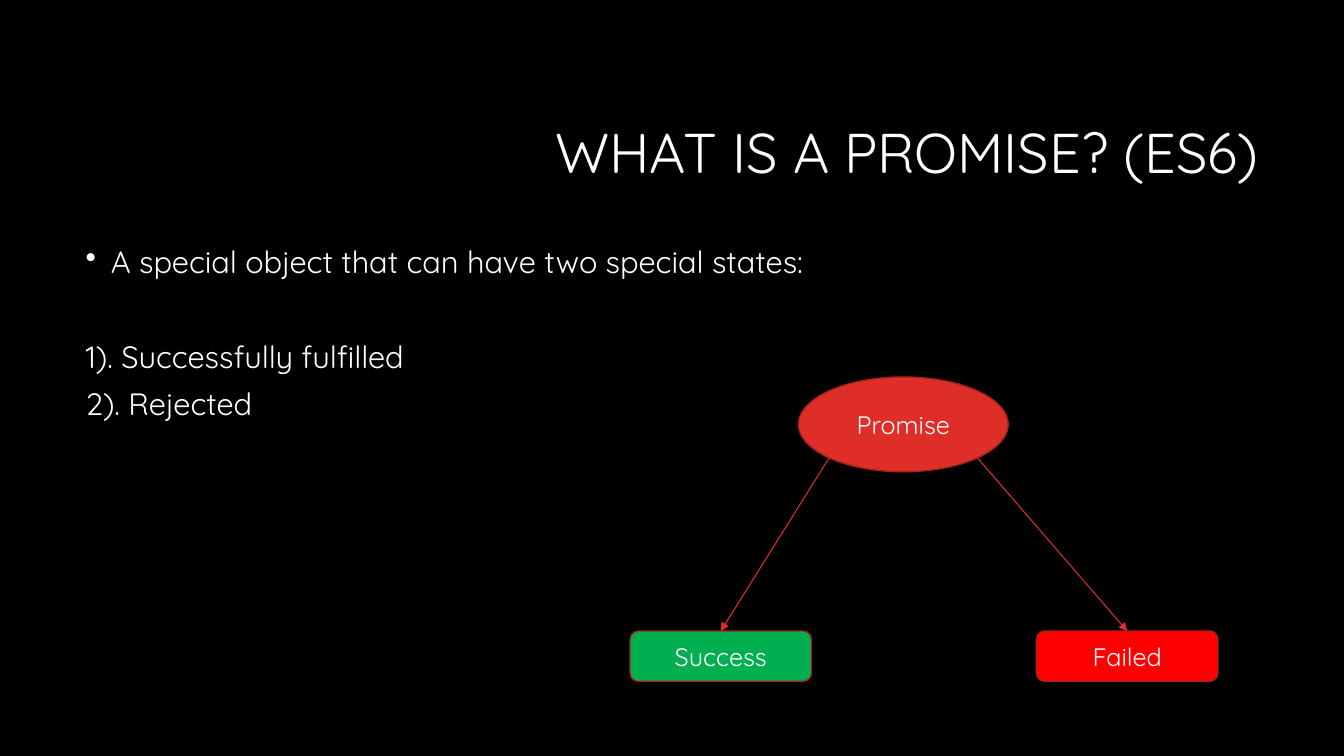
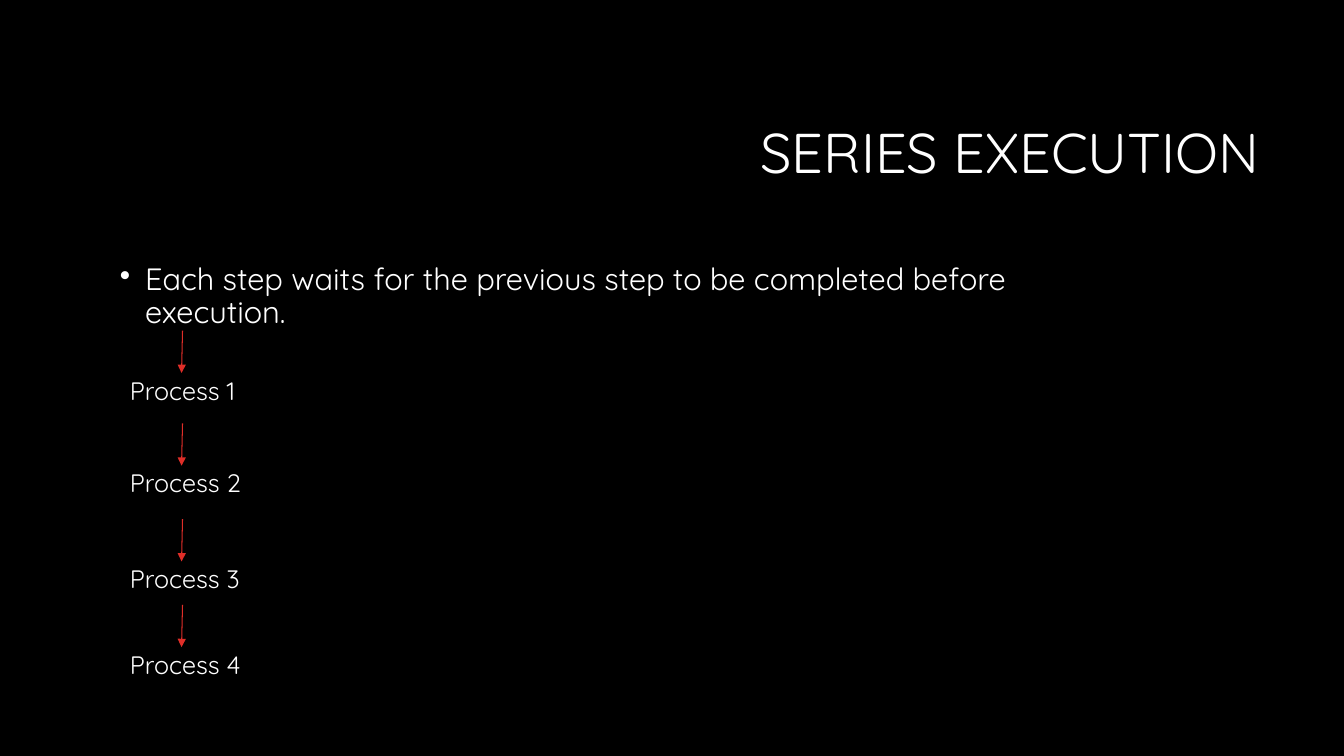
from math import sqrt

from lxml import etree
from pptx import Presentation, util as u
from pptx.dml.color import RGBColor
from pptx.enum import shapes, text
from pptx.oxml.ns import qn

INK = {"back": "000000", "text": "FFFFFF", "red": "DF2E28", "edge": "A5221E",
       "pass": "00B050", "fail": "FF0000"}
FONT = "Quicksand"
PAGE = (0, 0, u.Inches(13.33), u.Inches(7.5))
TITLE = (23.77, 11.2, 70.65, 18.8)


def color(name):
    """Return the named colour."""
    return RGBColor.from_string(INK[name])


def part(box, left, top, wide, high):
    """Return the part of a box given in percent of its size."""
    x, y, w, h = box
    return (round(x + w * left / 100), round(y + h * top / 100),
            round(w * wide / 100), round(h * high / 100))


def style(para, size, align=None):
    """Set the shared font and the alignment of a paragraph."""
    para.alignment = align
    para.font.name = FONT
    para.font.size = u.Pt(size)
    para.font.color.rgb = color("text")


def bullet(para):
    """Give a paragraph a hanging bullet."""
    props = para._p.get_or_add_pPr()
    props.set("marL", str(u.Inches(0.25)))
    props.set("indent", str(-u.Inches(0.25)))
    etree.SubElement(props, qn("a:buChar")).set("char", "•")


def page(deck, title):
    """Add a slide with its title."""
    slide = deck.slides.add_slide(deck.slide_layouts[5])
    head = slide.shapes.title
    head.left, head.top, head.width, head.height = part(PAGE, *TITLE)
    frame = head.text_frame
    frame.text = title
    frame.auto_size = text.MSO_AUTO_SIZE.NONE
    frame.vertical_anchor = text.MSO_ANCHOR.MIDDLE
    para = frame.paragraphs[0]
    para.line_spacing = 0.9
    style(para, 40, text.PP_ALIGN.RIGHT)
    return slide


def body(slide, box, lead, items=()):
    """Add a bulleted lead line and plain items set apart below it."""
    frame = slide.shapes.add_textbox(*box).text_frame
    frame.word_wrap = True
    for i, line in enumerate((lead, *items)):
        para = frame.paragraphs[0] if i == 0 else frame.add_paragraph()
        para.text = line
        para.line_spacing = 0.9
        para.space_before = u.Pt(44 if i == 1 else 10)
        if i == 0:
            bullet(para)
        style(para, 22)


def node(slide, box, kind, fill, label):
    """Add a filled shape with a centred label."""
    shape = slide.shapes.add_shape(kind, *box)
    shape.shadow.inherit = False
    shape.fill.solid()
    shape.fill.fore_color.rgb = color(fill)
    shape.line.color.rgb = color("edge")
    shape.line.width = u.Pt(1)
    frame = shape.text_frame
    frame.text = label
    frame.vertical_anchor = text.MSO_ANCHOR.MIDDLE
    style(frame.paragraphs[0], 18, text.PP_ALIGN.CENTER)
    return shape


def arrow(slide, start, end):
    """Add a thin red arrow between two points."""
    link = slide.shapes.add_connector(
        shapes.MSO_CONNECTOR.STRAIGHT, *map(round, (*start, *end)))
    link.line.color.rgb = color("red")
    link.line.width = u.Pt(0.75)
    etree.SubElement(link.line._get_or_add_ln(), qn("a:tailEnd")).set("type", "triangle")
    etree.SubElement(link._element.spPr, qn("a:effectLst"))
    return link


def tree(slide, box, root, leaves):
    """Draw a root with an arrow to a leaf at either side."""
    kind = shapes.MSO_SHAPE
    x, y, w, h = spot = part(box, 28.64, 0, 35.68, 31.13)
    node(slide, spot, kind.OVAL, "red", root)
    wide = 30.87
    for side, (label, fill) in zip((-1, 1), leaves):
        left = 0 if side < 0 else 100 - wide
        spot = part(box, left, 83.44, wide, 16.56)
        leaf = node(slide, spot, kind.ROUNDED_RECTANGLE, fill, label)
        start = (x + w / 2 + side * w / sqrt(8), y + h / 2 + h / sqrt(8))
        link = arrow(slide, start, (spot[0] + spot[2] / 2, spot[1]))
        link.end_connect(leaf, 0)


def chain(slide, box, steps):
    """Draw steps down a box, each below an arrow."""
    for label, top in steps:
        start = part(box, 46.62, top, 0, 0)[:2]
        end = part(box, 45.86, top + 11.97, 0, 0)[:2]
        arrow(slide, start, end)
        spot = part(box, 0, top + 11.11, 100, 11.4)
        frame = slide.shapes.add_textbox(*spot).text_frame
        frame.text = label
        frame.word_wrap = False
        frame.auto_size = text.MSO_AUTO_SIZE.SHAPE_TO_FIT_TEXT
        style(frame.paragraphs[0], 18)


def main():
    """Build and save the deck."""
    deck = Presentation()
    deck.slide_width, deck.slide_height = PAGE[2:]
    fill = deck.slide_master.background.fill
    fill.solid()
    fill.fore_color.rgb = color("back")

    slide = page(deck, "WHAT IS A PROMISE? (ES6)")
    body(slide, part(PAGE, 5.63, 32, 88.75, 58.67),
         "A special object that can have two special states:",
         ("1). Successfully fulfilled", "2). Rejected"))
    tree(slide, part(PAGE, 46.88, 49.87, 43.74, 40.27), "Promise",
         (("Success", "pass"), ("Failed", "fail")))

    slide = page(deck, "SERIES EXECUTION")
    body(slide, part(PAGE, 8.18, 34.27, 72.4, 49.87),
         "Each step waits for the previous step to be completed before execution.")
    chain(slide, part(PAGE, 8.93, 43.73, 9.98, 46.8),
          (("Process 1", 0), ("Process 2", 26.21),
           ("Process 3", 53.28), ("Process 4", 77.49)))

    deck.save("out.pptx")


if __name__ == "__main__":
    main()
